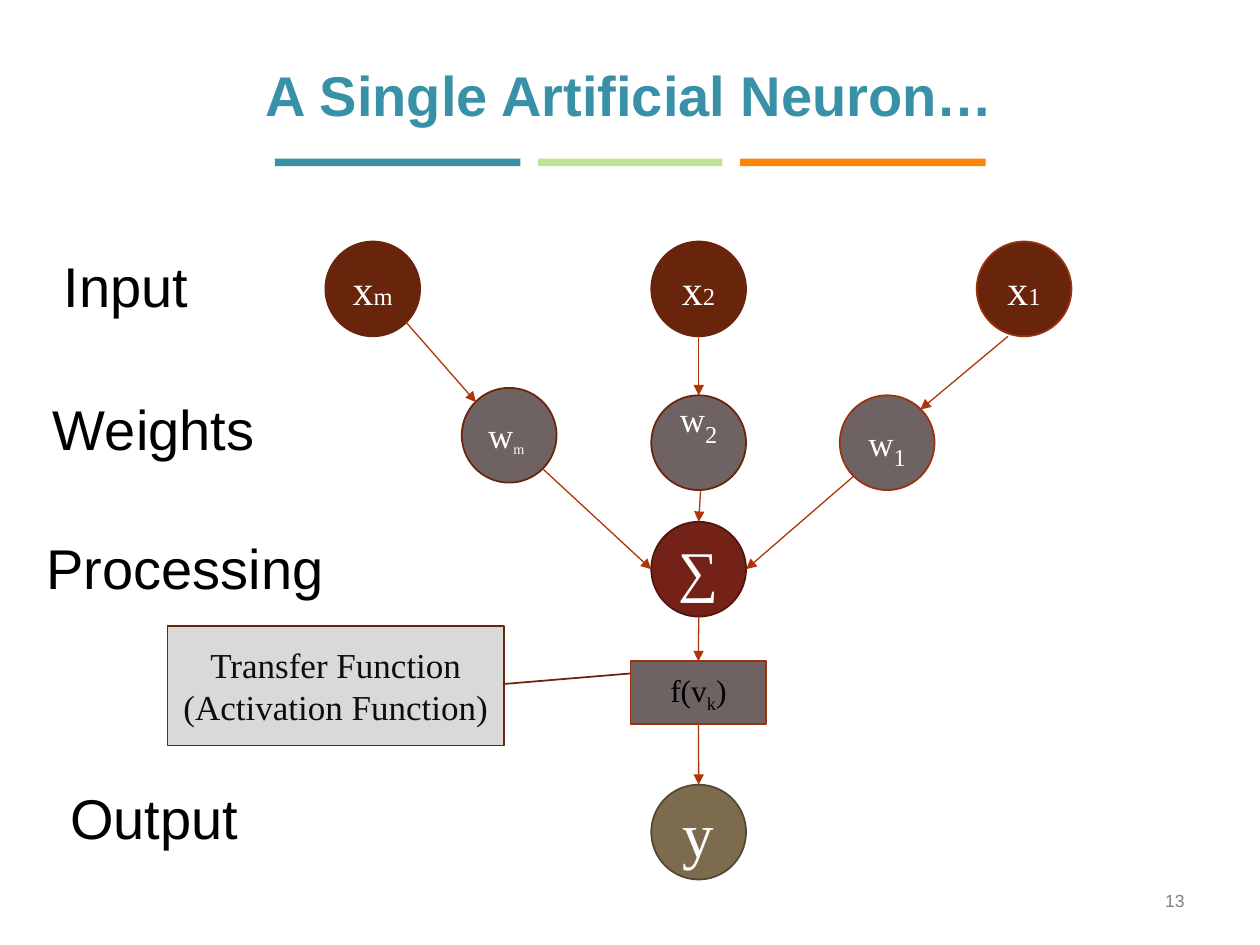
from pptx import Presentation
from pptx.dml.color import RGBColor
from pptx.enum.shapes import MSO_CONNECTOR as Connector, MSO_SHAPE as Preset
from pptx.enum.text import MSO_ANCHOR as Anchor, PP_ALIGN as Align
from pptx.oxml.ns import qn
from pptx.util import Cm, Pt
from lxml.etree import SubElement

SANS, SERIF = "Arial", "Times New Roman"
WHITE, BLACK = "FFFFFF", "000000"
BROWN, RUST, GREY, ARROW = "69240C", "9B320E", "6E6263", "AF3408"
TEAL, GREEN, ORANGE = "3891A7", "BEE396", "FF850A"
DIAMETER = 1.91


def color(value):
    """Turn a hex string into a colour."""
    return RGBColor.from_string(value)


def write(shape, runs, font, ink, align=Align.CENTER, anchor=Anchor.MIDDLE, bold=False):
    """Write (text, size, subscript) runs as one paragraph in a shape."""
    frame = shape.text_frame
    frame.word_wrap = True
    frame.vertical_anchor = anchor
    paragraph = frame.paragraphs[0]
    paragraph.alignment = align
    for text, size, subscript in runs:
        run = paragraph.add_run()
        run.text = text
        run.font.name = font
        run.font.size = Pt(size)
        run.font.bold = bold
        run.font.color.rgb = color(ink)
        if subscript:
            run.font._element.set("baseline", "-25000")


def add_label(slide, box, text, size, ink, **options):
    """Add a sans-serif text box."""
    label = slide.shapes.add_textbox(*map(Cm, box))
    write(label, [(text, size, False)], SANS, ink, **options)


def add_block(shapes, preset, box, fill, line=None):
    """Add a filled preset shape, outlined if a line colour is given."""
    shape = shapes.add_shape(preset, *map(Cm, box))
    shape.shadow.inherit = False
    shape.fill.solid()
    shape.fill.fore_color.rgb = color(fill)
    if line:
        shape.line.color.rgb = color(line)
        shape.line.width = Pt(1)
    else:
        shape.line.fill.background()
    return shape


def point_on(shape, across, down):
    """Find a point at fractions of a shape's width and height."""
    return (round(shape.left + across * shape.width),
            round(shape.top + down * shape.height))


def add_arrow(slide, start, end):
    """Add a straight arrow between two points."""
    arrow = slide.shapes.add_connector(Connector.STRAIGHT, *start, *end)
    arrow.line.color.rgb = color(ARROW)
    arrow.line.width = Pt(0.75)
    SubElement(arrow.line._get_or_add_ln(), qn("a:tailEnd"), type="triangle")
    SubElement(arrow._element.spPr, qn("a:effectLst"))
    return arrow


def add_heading(slide, left, top, width):
    """Add the title and the three coloured bars below it."""
    add_label(slide, (left, top, width, 2.26), "A Single Artificial Neuron…", 32, TEAL, bold=True)
    group = slide.shapes.add_group_shape()
    x = left + 4.27
    for bar_width, fill in ((4.95, TEAL), (3.71, GREEN), (4.95, ORANGE)):
        add_block(group.shapes, Preset.RECTANGLE, (x, top + 2.44, bar_width, 0.15), fill)
        x += bar_width + 0.36


def add_stage_names(slide, left, top):
    """Add the names of the stages down the left side."""
    stages = (("Input", 0, 0, 5.08), ("Weights", 0.56, 2.87, 5.08),
              ("Processing", 0.66, 5.69, 6.15), ("Output", 0.15, 10.72, 5.92))
    for text, x, y, width in stages:
        add_label(slide, (left + x, top + y, width, 1.62), text, 32, BLACK, anchor=Anchor.TOP)


def add_callout(slide, left, top):
    """Add the callout that explains the transfer function."""
    callout = add_block(slide.shapes, Preset.LINE_CALLOUT_1, (left, top, 6.78, 2.41), "D9D9D9", BROWN)
    for index, value in enumerate((0.486, 0.997, 0.391, 1.403)):
        callout.adjustments[index] = value
    write(callout, [("Transfer Function (Activation Function)", 20, False)], SERIF, "0D0D0D")


def add_neuron(slide, left, top):
    """Add the inputs, weights, sum, function and output with their arrows."""
    middle = 6.57
    nodes = {}
    for name, x, y, fill, line, runs in (
        ("x1", 13.13, 0, BROWN, RUST, [("x", 24, False), ("1", 14, False)]),
        ("x2", middle, 0, BROWN, BROWN, [("x", 24, False), ("2", 14, False)]),
        ("xm", 0, 0, BROWN, BROWN, [("x", 24, False), ("m", 14, False)]),
        ("w1", 10.37, 3.1, GREY, RUST, [("w", 20, False), ("1", 24, True)]),
        ("w2", middle, 3.1, GREY, BROWN, [("w", 20, False), ("2", 24, True)]),
        ("wm", 2.75, 2.95, GREY, BROWN, [("w", 20, False), ("m", 14, True)]),
        ("sum", middle, 5.65, "742217", "4E1610", [("∑", 32, False)]),
        ("y", middle, 10.95, "7C6B4D", "534733", [("y", 36, False)]),
    ):
        box = (left + x, top + y, DIAMETER, DIAMETER)
        node = nodes[name] = add_block(slide.shapes, Preset.OVAL, box, fill, line)
        write(node, runs, SERIF, WHITE, Align.LEFT if name == "wm" else Align.CENTER)
    nodes["w2"].text_frame.margin_bottom = Cm(1.07)

    box = (left + 6.15, top + 8.46, 2.74, 1.27)
    function = add_block(slide.shapes, Preset.RECTANGLE, box, GREY, RUST)
    write(function, [("f(v", 18, False), ("k", 18, True), (")", 18, False)], SERIF, BLACK)

    near, far = 0.15, 0.85
    for source, start, target, end in (
        ("xm", (far, far), "wm", (near, near)),
        ("x2", (0.5, 1), "w2", (0.5, 0)),
        ("x1", (0.33, 1), "w1", (far, near)),
        ("w1", (near, far), "sum", (1, 0.5)),
        ("w2", (0.52, 1), "sum", (0.5, 0)),
        ("wm", (far, far), "sum", (0, 0.5)),
    ):
        add_arrow(slide, point_on(nodes[source], *start), point_on(nodes[target], *end))

    into = add_arrow(slide, point_on(nodes["sum"], 0.5, 1), point_on(function, 0.5, 0))
    into.end_connect(function, 0)
    out = add_arrow(slide, point_on(function, 0.5, 1), point_on(nodes["y"], 0.5, 0))
    out.begin_connect(function, 2)


def main():
    """Build the slide and save it."""
    presentation = Presentation()
    presentation.slide_width = Cm(25.4)
    presentation.slide_height = Cm(19.05)
    slide = presentation.slides.add_slide(presentation.slide_layouts[6])
    add_heading(slide, 1.27, 0.76, 22.86)
    add_label(slide, (18.21, 17.65, 5.92, 1.02), "13", 10, "808080", align=Align.RIGHT)
    add_callout(slide, 3.38, 12.62)
    add_neuron(slide, 6.56, 4.87)
    add_stage_names(slide, 0, 4.95)
    presentation.save("out.pptx")


if __name__ == "__main__":
    main()
